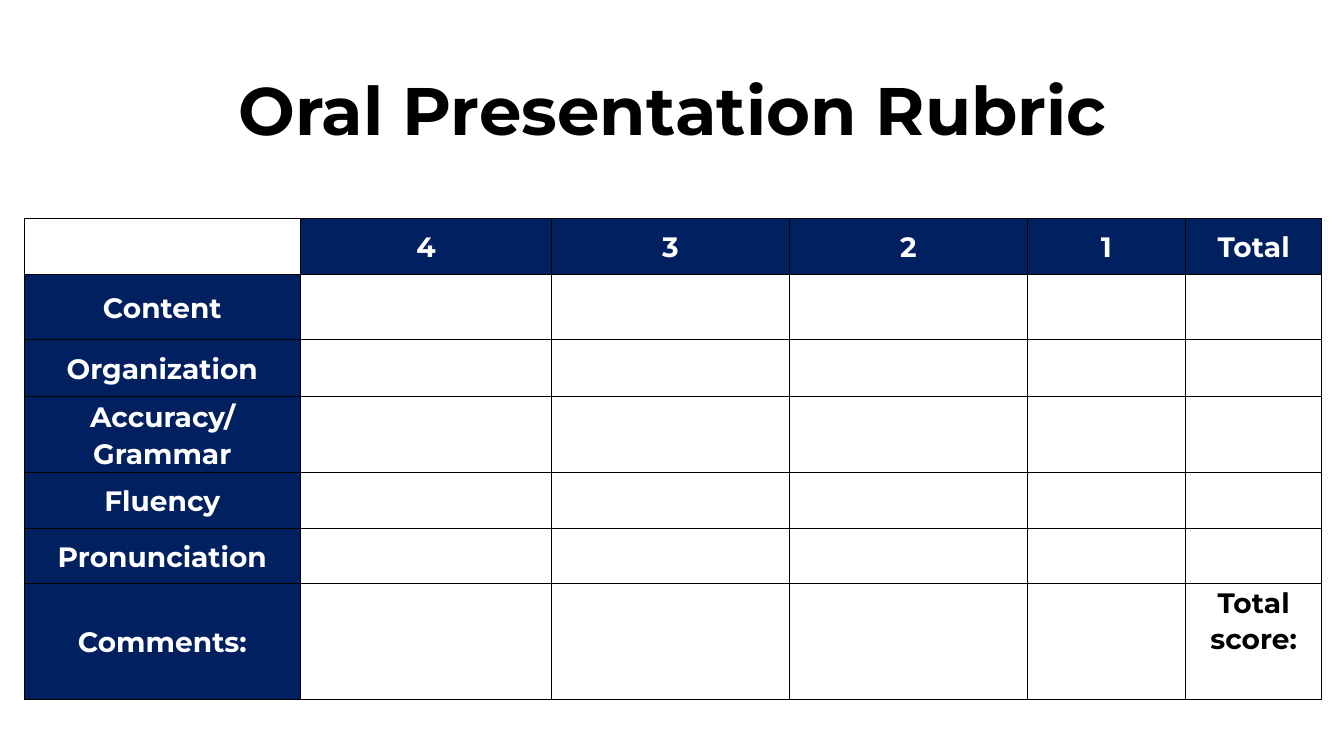
"""Build a one-slide oral presentation scoring rubric."""
from dataclasses import dataclass

from lxml import etree
from pptx import Presentation
from pptx import util as u
from pptx.dml.color import RGBColor
from pptx.enum import text
from pptx.oxml.ns import qn


@dataclass(frozen=True)
class Theme:
    font: str = "Montserrat"
    navy: str = "002060"
    white: str = "FFFFFF"
    black: str = "000000"
    title_size: int = 48
    label_size: int = 20


theme = Theme()


def format_text(frame, size, color, spacing):
    frame.word_wrap = True
    for paragraph in frame.paragraphs:
        paragraph.alignment = text.PP_ALIGN.CENTER
        paragraph.line_spacing = spacing
        for run in paragraph.runs:
            run.font.name = theme.font
            run.font.size = u.Pt(size)
            run.font.bold = True
            run.font.color.rgb = RGBColor.from_string(color)


def add_borders(cell):
    properties = cell._tc.get_or_add_tcPr()
    for side in ("lnL", "lnR", "lnT", "lnB"):
        line = etree.SubElement(properties, qn(f"a:{side}"), w=str(u.Pt(1)))
        fill = etree.SubElement(line, qn("a:solidFill"))
        etree.SubElement(fill, qn("a:srgbClr"), val=theme.black)


prs = Presentation()
prs.slide_width, prs.slide_height = u.Inches(13.33), u.Inches(7.5)
slide = prs.slides.add_slide(prs.slide_layouts[5])

title = slide.shapes.title
title.left, title.top = u.Inches(0.92), u.Inches(0.4)
title.width, title.height = u.Inches(11.5), u.Inches(1.45)
title.text_frame.text = "Oral Presentation Rubric"
title.text_frame.vertical_anchor = text.MSO_ANCHOR.MIDDLE
format_text(title.text_frame, theme.title_size, theme.black, 0.9)

scores = ["4", "3", "2", "1", "Total"]
criteria = ["Content", "Organization", "Accuracy/Grammar", "Fluency",
            "Pronunciation", "Comments:"]
column_widths = [2.74, 2.49, 2.36, 2.36, 1.57, 1.35]
row_heights = [0.55, 0.65, 0.56, 0.76, 0.55, 0.55, 1.15]

rubric = slide.shapes.add_table(
    len(row_heights), len(column_widths), u.Inches(0.24), u.Inches(2.17),
    u.Inches(sum(column_widths)), u.Inches(sum(row_heights))).table
rubric.first_row = rubric.horz_banding = False
for column, width in zip(rubric.columns, column_widths):
    column.width = u.Inches(width)
for row, height in zip(rubric.rows, row_heights):
    row.height = u.Inches(height)

labels = {(0, i): score for i, score in enumerate(scores, 1)}
labels |= {(i, 0): criterion for i, criterion in enumerate(criteria, 1)}
total_score = (len(criteria), len(scores))

for r in range(len(row_heights)):
    for c in range(len(column_widths)):
        cell = rubric.cell(r, c)
        is_label = (r, c) in labels
        add_borders(cell)
        cell.fill.solid()
        cell.fill.fore_color.rgb = RGBColor.from_string(
            theme.navy if is_label else theme.white)
        cell.margin_left = cell.margin_right = u.Inches(0.07)
        cell.margin_top = cell.margin_bottom = 0
        if is_label:
            cell.text_frame.text = labels[r, c]
            cell.vertical_anchor = text.MSO_ANCHOR.MIDDLE
            format_text(cell.text_frame, theme.label_size, theme.white, 1.07)
        elif (r, c) == total_score:
            cell.text_frame.text = "Total score:"
            format_text(cell.text_frame, theme.label_size, theme.black, 1.07)

prs.save("out.pptx")
